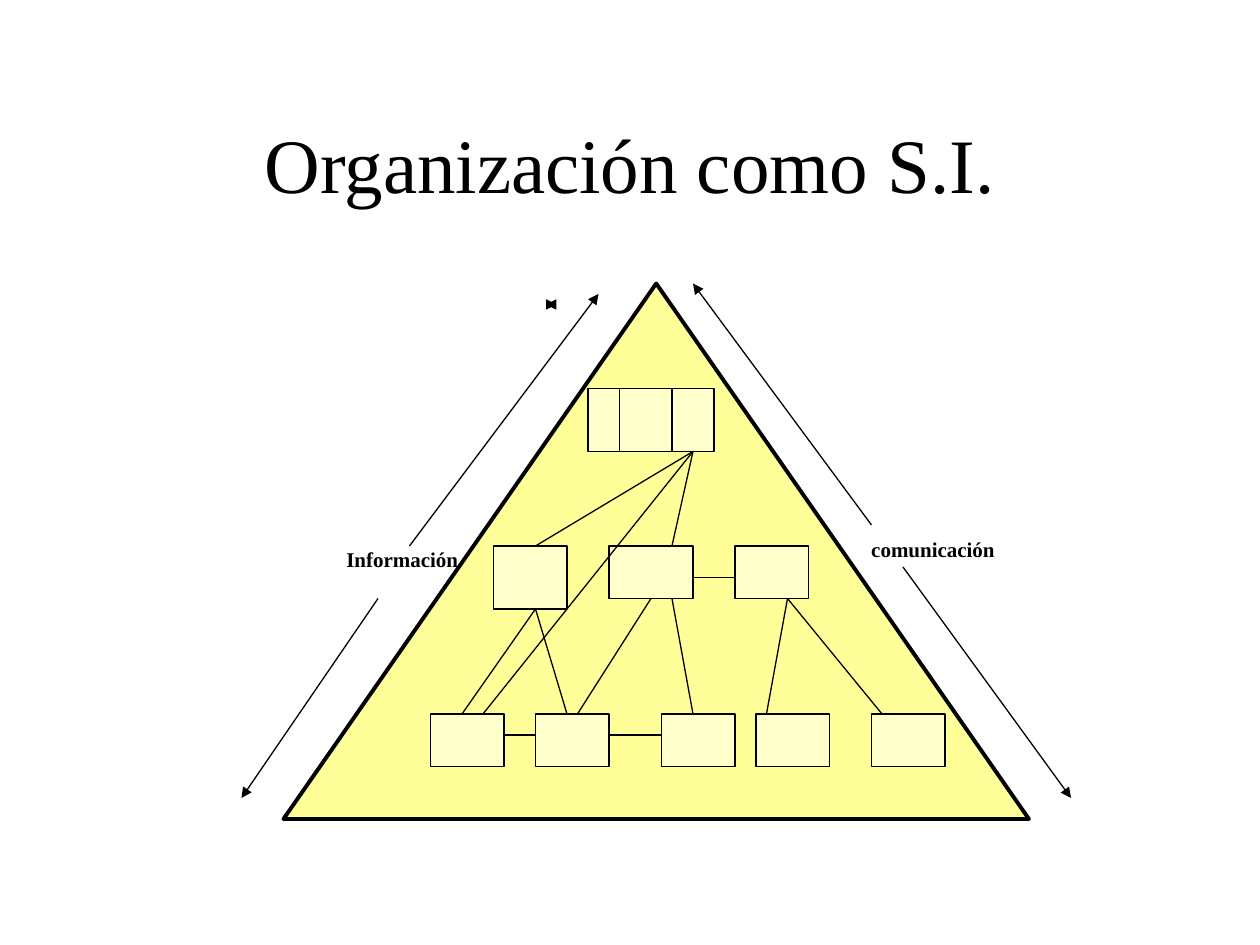
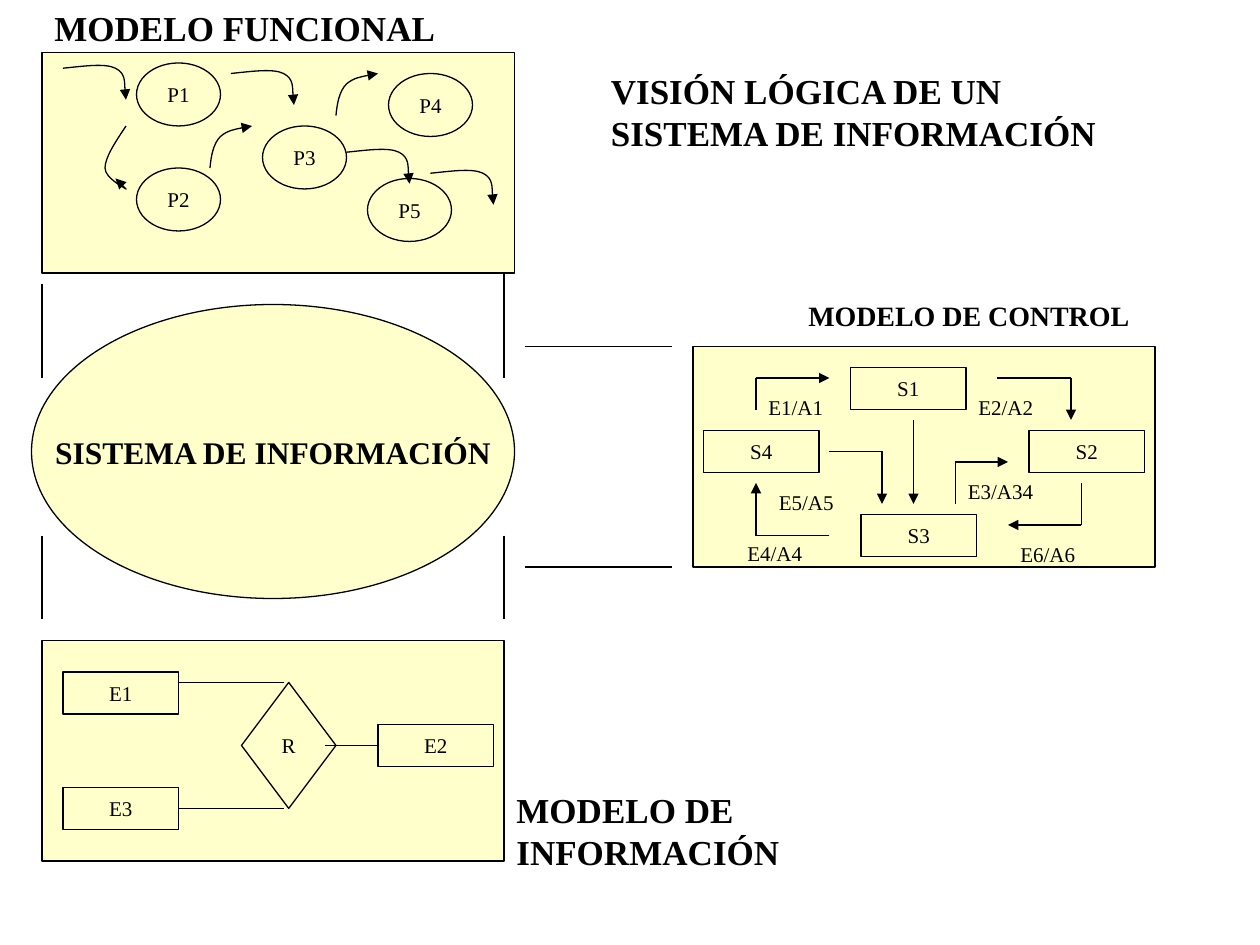
"""Build two slides on the organization as an information system."""
import dataclasses

import lxml.etree
import pptx
import pptx.dml.color
import pptx.enum.shapes
import pptx.enum.text
import pptx.oxml.ns
import pptx.util

PX = 7620
RGB = pptx.dml.color.RGBColor.from_string
SHAPE = pptx.enum.shapes.MSO_SHAPE
ALIGN = pptx.enum.text.PP_ALIGN
ANCHOR = pptx.enum.text.MSO_ANCHOR
qn = pptx.oxml.ns.qn


@dataclasses.dataclass(frozen=True)
class Theme:
    font: str = "Times New Roman"
    ink: str = "000000"
    paper: str = "FFFFFF"
    pyramid: str = "FFFF99"
    panel: str = "FFFFCC"
    title: int = 44
    heading: int = 20
    system: int = 18
    control: int = 16
    label: int = 12
    thin: float = 0.75
    thick: float = 2.25


T = Theme()


def box(s, text, at, geom=None, fill=None, width=T.thin, size=T.label, bold=False,
        wrap=True, center=False):
    """Add a text box, or a preset shape with centred text when geom is given."""
    x, y, w, h = (n * PX for n in at)
    if geom is None:
        sp = s.shapes.add_textbox(x, y, w, h)
    else:
        sp = s.shapes.add_shape(geom, x, y, w, h)
        sp.shadow.inherit = False
        sp.line.color.rgb = RGB(T.ink)
        sp.line.width = pptx.util.Pt(width)
        if fill:
            sp.fill.solid()
            sp.fill.fore_color.rgb = RGB(fill)
        else:
            sp.fill.background()
    if not text:
        return
    centered = center or geom is not None
    tf = sp.text_frame
    tf.word_wrap = wrap and geom is None
    tf.vertical_anchor = ANCHOR.MIDDLE if centered else ANCHOR.TOP
    p = tf.paragraphs[0]
    p.alignment = ALIGN.CENTER if centered else ALIGN.LEFT
    r = p.add_run()
    r.text = text
    r.font.name = T.font
    r.font.size = pptx.util.Pt(size)
    r.font.bold = bold
    r.font.color.rgb = RGB(T.ink)


def line(s, *pts, ends=(), curved=False):
    """Draw straight segments, or cubic curves, through px points."""
    if curved:
        builder = s.shapes.build_freeform(*pts[0], scale=PX)
        builder.add_line_segments(pts[1:], close=False)
        sp = builder.convert_to_shape()
        sp.fill.background()
        steps = list(sp.element.iter(qn("a:lnTo")))
        for i in range(0, len(steps), 3):
            curve = lxml.etree.Element(qn("a:cubicBezTo"))
            steps[i].addprevious(curve)
            for step in steps[i:i + 3]:
                curve.append(step[0])
                step.getparent().remove(step)
        strokes = [sp]
    else:
        strokes = [s.shapes.add_connector(pptx.enum.shapes.MSO_CONNECTOR.STRAIGHT,
                                          *(n * PX for n in a + b))
                   for a, b in zip(pts, pts[1:])]
    for sp in strokes:
        sp.line.color.rgb = RGB(T.ink)
        sp.line.width = pptx.util.Pt(T.thin)
        lxml.etree.SubElement(sp.element.spPr, qn("a:effectLst"))
    ln = strokes[-1].element.spPr.find(qn("a:ln"))
    for end in ends:
        lxml.etree.SubElement(ln, qn(f"a:{end}End"), type="triangle")


prs = pptx.Presentation()
prs.slide_width, prs.slide_height = 1200 * PX, 900 * PX
slides = [prs.slides.add_slide(prs.slide_layouts[6]) for _ in range(2)]
for s in slides:
    s.background.fill.solid()
    s.background.fill.fore_color.rgb = RGB(T.paper)

s = slides[0]
box(s, "Organización como S.I.", (90, 80, 1020, 150), size=T.title, center=True)
box(s, "", (270, 270, 710, 510), SHAPE.FLOWCHART_EXTRACT, T.pyramid, T.thick)

units = [(560, 370, 120, 60), (470, 520, 70, 60), (580, 520, 80, 50), (700, 520, 70, 50)]
units += [(x, 680, 70, 50) for x in (410, 510, 630, 720, 830)]
for unit in units:
    box(s, "", unit, SHAPE.RECTANGLE, T.panel)
for x in (590, 640):
    line(s, (x, 370), (x, 430))

reports = {
    (660, 430): [(510, 520), (460, 680), (640, 520)],
    (510, 580): [(540, 680), (440, 680)],
    (620, 570): [(550, 680)],
    (640, 570): [(660, 680)],
    (750, 570): [(730, 680), (840, 680)],
    (580, 700): [(630, 700)],
    (480, 700): [(510, 700)],
    (660, 550): [(700, 550)],
}
for boss, staff in reports.items():
    for member in staff:
        line(s, boss, member)

line(s, (530, 290), (520, 290), ends=("head", "tail"))
for start, end in [((360, 570), (230, 760)), ((390, 520), (570, 280)),
                   ((830, 500), (660, 270)), ((860, 540), (1020, 760))]:
    line(s, start, end, ends=("tail",))
box(s, "Información", (318, 515, 131, 36), bold=True, wrap=False)
box(s, "comunicación", (818, 505, 144, 36), bold=True)

s = slides[1]
box(s, "", (40, 50, 450, 210), SHAPE.RECTANGLE, T.panel)
box(s, "SISTEMA DE INFORMACIÓN", (30, 290, 460, 280), SHAPE.OVAL, T.panel,
    size=T.system, bold=True)
box(s, "", (40, 610, 440, 210), SHAPE.RECTANGLE, T.panel)
box(s, "", (660, 330, 440, 210), SHAPE.RECTANGLE, T.panel)

processes = [(130, 60), (130, 160), (250, 120), (370, 70), (350, 170)]
for n, (x, y) in enumerate(processes, 1):
    box(s, f"P{n}", (x, y, 80, 60), SHAPE.OVAL)

falling = [(0, 0), (20, -2), (40, -5), (50, 0), (60, 5), (59, 25), (60, 30)]
rising = [(0, 0), (1, -11), (3, -23), (10, -30), (17, -36), (33, -39), (40, -40)]
hooked = [(0, 0), (-10, 15), (-20, 30), (-20, 40), (-20, 50), (-1, 59), (0, 60),
          (1, 61), (-8, 52), (-10, 50)]
flows = [(falling, [(220, 70), (330, 145), (60, 65), (410, 165)]),
         (rising, [(200, 160), (320, 110)]),
         (hooked, [(120, 120)])]
for curve, starts in flows:
    for x, y in starts:
        line(s, *((x + dx, y + dy) for dx, dy in curve), ends=("tail",), curved=True)

for x, top in [(40, 270), (480, 260)]:
    line(s, (x, top), (x, 360))
    line(s, (x, 510), (x, 590))
for y in (330, 540):
    line(s, (640, y), (500, y))

nodes = {"E1": (60, 640), "E2": (360, 690), "E3": (60, 750),
         "S1": (810, 350), "S2": (980, 410), "S3": (820, 490), "S4": (670, 410)}
for name, (x, y) in nodes.items():
    box(s, name, (x, y, 110, 40), SHAPE.RECTANGLE)
box(s, "R", (230, 650, 90, 120), SHAPE.DIAMOND)
line(s, (310, 710), (360, 710))
for y in (650, 770):
    line(s, (170, y), (270, y))

transitions = [
    [(870, 400), (870, 480)],
    [(720, 390), (720, 360), (790, 360)],
    [(950, 360), (1020, 360), (1020, 400)],
    [(1030, 460), (1030, 500), (960, 500)],
    [(790, 510), (720, 510), (720, 460)],
    [(790, 430), (840, 430), (840, 480)],
    [(910, 480), (910, 440), (960, 440)],
]
for route in transitions:
    line(s, *route, ends=("tail",))
events = {"E1/A1": (720, 370), "E2/A2": (920, 370), "E3/A34": (910, 450),
          "E4/A4": (700, 509), "E5/A5": (730, 460), "E6/A6": (960, 510)}
for event, (x, y) in events.items():
    box(s, event, (x, y, 100, 36))

headings = {"MODELO FUNCIONAL": (40, 0, 530, 52),
            "VISIÓN LÓGICA DE UN SISTEMA DE INFORMACIÓN": (570, 60, 490, 92),
            "MODELO DE INFORMACIÓN": (480, 745, 330, 92)}
for heading, at in headings.items():
    box(s, heading, at, size=T.heading, bold=True)
box(s, "MODELO DE CONTROL", (758, 278, 330, 44), size=T.control, bold=True, wrap=False)

prs.save("out.pptx")
